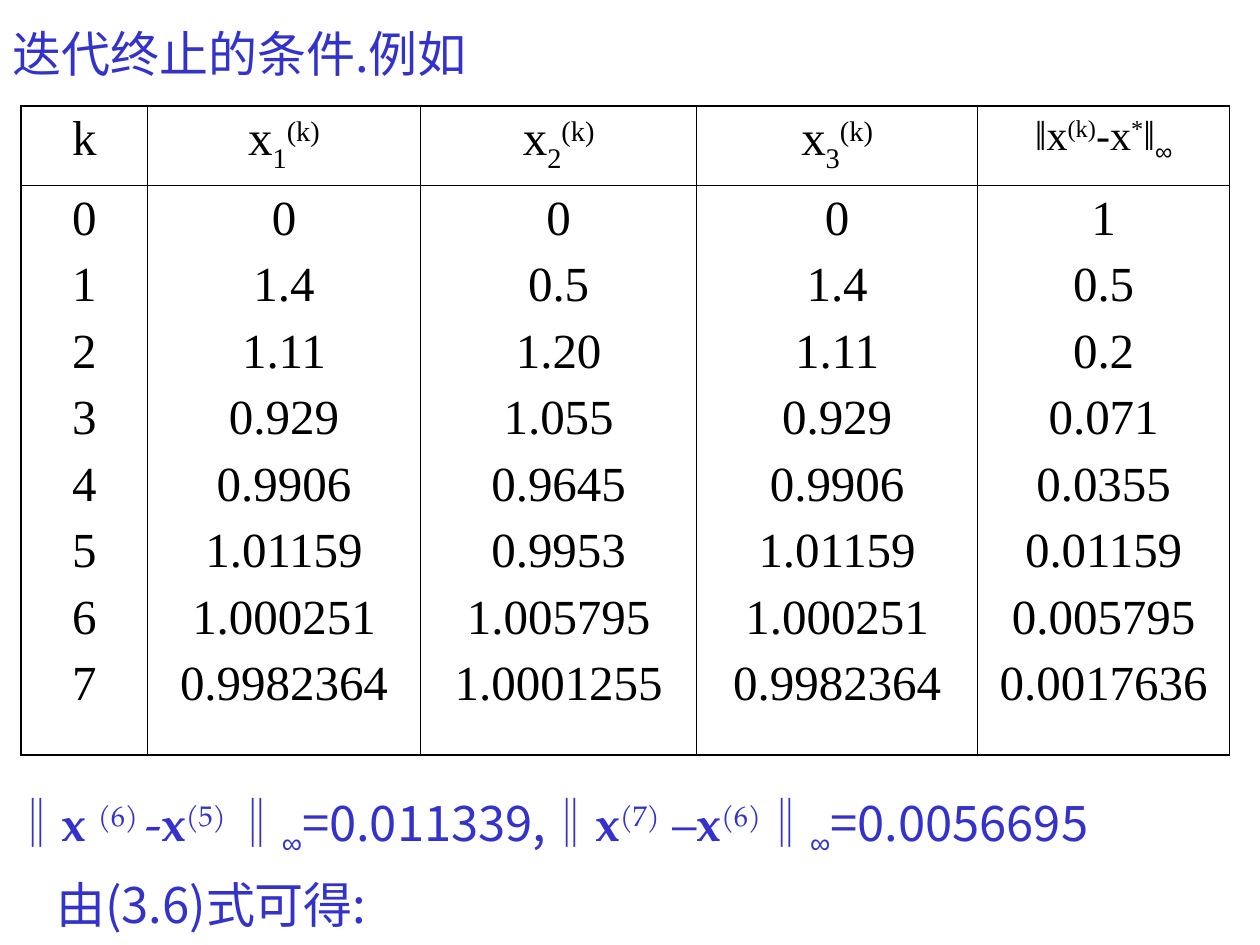
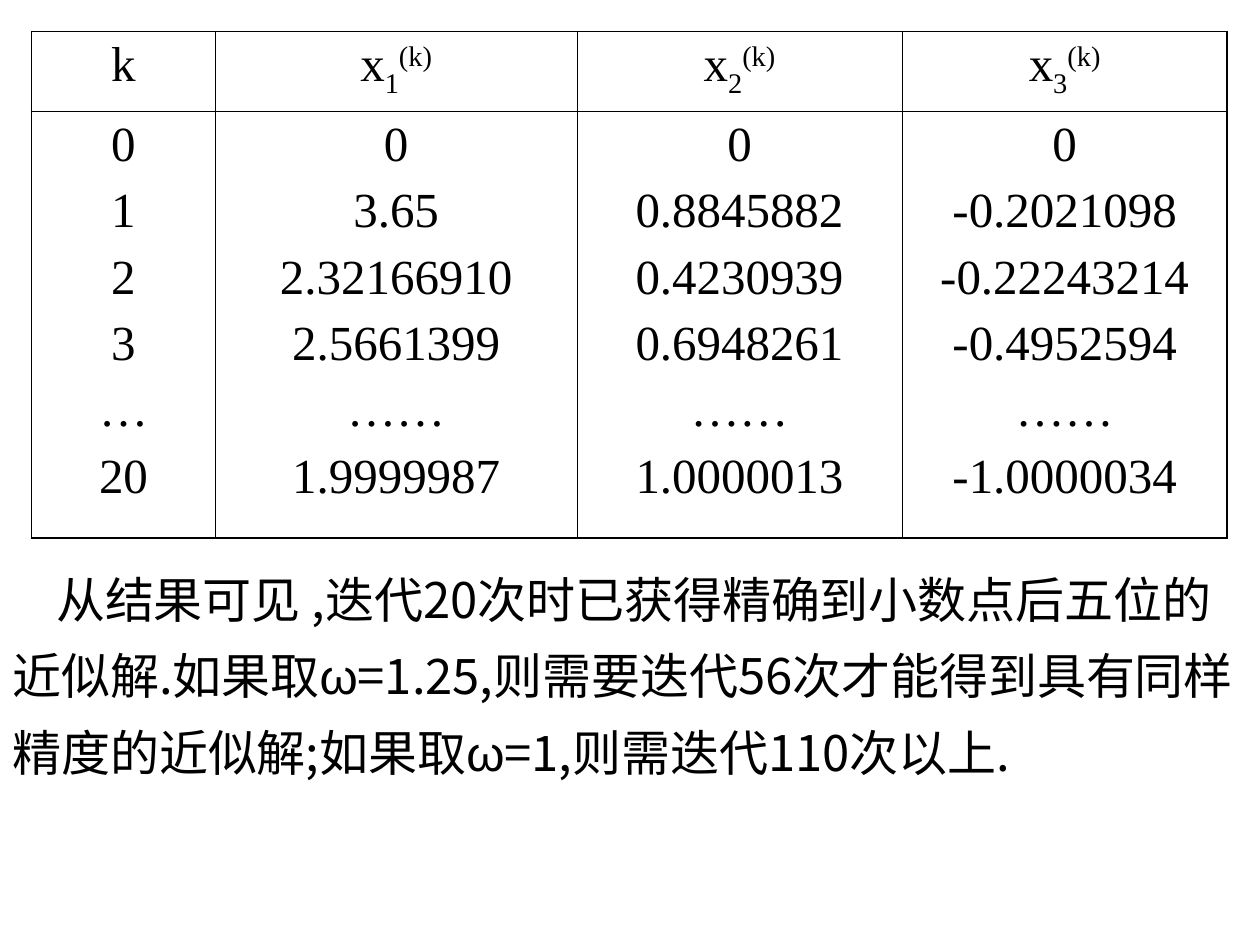
import pptx
import pptx.util
import pptx.dml.color
import pptx.enum.text
import pptx.oxml.ns
import lxml.etree

Pt = pptx.util.Pt
qn = pptx.oxml.ns.qn
RGB = pptx.dml.color.RGBColor.from_string


class Theme:
    blue = "3333CC"
    black = "000000"
    han = "Noto Sans CJK SC"
    math = "TeX Gyre Pagella"
    times = "Times New Roman"
    sign = "Arial"
    size = 28
    small = 24
    thick = 1.08
    thin = 0.45
    sub = -25
    sup = 30


def write(par, runs, color=Theme.black, size=Theme.size):
    for text, face, base, bold in runs:
        run = par.add_run()
        run.text = text
        run.font.size = Pt(size)
        run.font.name = face
        run.font.bold = bold
        run.font.color.rgb = RGB(color)
        props = run._r.get_or_add_rPr()
        if base:
            props.set("baseline", str(base * 1000))
        lxml.etree.SubElement(props, qn("a:ea")).set("typeface", face)


def border(cell, widths):
    cell.fill.background()
    props = cell._tc.get_or_add_tcPr()
    for spot, (side, width) in enumerate(widths.items()):
        line = lxml.etree.Element(qn("a:ln" + side), w=str(Pt(width)))
        fill = lxml.etree.SubElement(line, qn("a:solidFill"))
        lxml.etree.SubElement(fill, qn("a:srgbClr"), val=Theme.black)
        props.insert(spot, line)


deck = pptx.Presentation()
deck.slide_width = Pt(720)
deck.slide_height = Pt(540)
first = deck.slides.add_slide(deck.slide_layouts[5])
second = deck.slides.add_slide(deck.slide_layouts[6])

heads = [[("k", Theme.times, 0, False)]]
for digit in "123":
    heads.append([
        ("x", Theme.times, 0, False),
        (digit, Theme.times, Theme.sub, False),
        ("(k)", Theme.times, Theme.sup, False),
    ])
error = [
    ("‖x", Theme.times, 0, False),
    ("(k)", Theme.times, Theme.sup, False),
    ("-x", Theme.times, 0, False),
    ("*", Theme.times, Theme.sup, False),
    ("‖", Theme.times, 0, False),
    ("∞", Theme.sign, Theme.sub, False),
]

outer = "0 1.4 1.11 0.929 0.9906 1.01159 1.000251 0.9982364"
grids = [
    (first, 12.2, 60.5, [72, 156.2, 157.7, 160.6, 144], 325.4, heads + [error], [
        "0 1 2 3 4 5 6 7",
        outer,
        "0 0.5 1.20 1.055 0.9645 0.9953 1.005795 1.0001255",
        outer,
        "1 0.5 0.2 0.071 0.0355 0.01159 0.005795 0.0017636",
    ]),
    (second, 18, 18, [105.1, 206.6, 185.8, 185.8], 244.1, heads, [
        "0 1 2 3 … 20",
        "0 3.65 2.32166910 2.5661399 …… 1.9999987",
        "0 0.8845882 0.4230939 0.6948261 …… 1.0000013",
        "0 -0.2021098 -0.22243214 -0.4952594 …… -1.0000034",
    ]),
]

for slide, left, top, widths, depth, names, data in grids:
    count = len(widths)
    tall = [45.4, depth]
    table = slide.shapes.add_table(
        2, count, Pt(left), Pt(top), Pt(sum(widths)), Pt(sum(tall))).table
    table.first_row = False
    table.horz_banding = False
    for row, height in zip(table.rows, tall):
        row.height = Pt(height)
    for col, width in enumerate(widths):
        table.columns[col].width = Pt(width)
        body = [[(value, Theme.times, 0, False)] for value in data[col].split()]
        for row, lines in enumerate([[names[col]], body]):
            cell = table.cell(row, col)
            border(cell, {
                "L": Theme.thick if col == 0 else Theme.thin,
                "R": Theme.thick if col == count - 1 else Theme.thin,
                "T": Theme.thick if row == 0 else Theme.thin,
                "B": Theme.thick if row == 1 else Theme.thin,
            })
            frame = cell.text_frame
            for spot, runs in enumerate(lines):
                par = frame.add_paragraph() if spot else frame.paragraphs[0]
                size = Theme.small if runs is error else Theme.size
                par.alignment = pptx.enum.text.PP_ALIGN.CENTER
                par.space_before = Pt(size / 4)
                write(par, runs, size=size)

norms = [
    ("‖", Theme.han, 0, False),
    ("x ", Theme.math, 0, True),
    ("(6) ", Theme.math, Theme.sup, False),
    ("-", Theme.math, 0, False),
    ("x", Theme.math, 0, True),
    ("(5) ", Theme.math, Theme.sup, False),
    ("‖", Theme.han, 0, False),
    ("∞", Theme.sign, Theme.sub, False),
    ("=0.011339,‖", Theme.han, 0, False),
    ("x", Theme.math, 0, True),
    ("(7)", Theme.math, Theme.sup, False),
    (" –", Theme.math, 0, False),
    ("x", Theme.math, 0, True),
    ("(6)", Theme.math, Theme.sup, False),
    ("‖", Theme.han, 0, False),
    ("∞", Theme.sign, Theme.sub, False),
    ("=0.0056695", Theme.han, 0, False),
]
result = [
    ("从结果可见 ,迭代20次时已获得精确到小数点后五位的近似解.如果取", Theme.han, 0, False),
    ("ω", Theme.sign, 0, False),
    ("=1.25,则需要迭代56次才能得到具有同样精度的近似解;如果取", Theme.han, 0, False),
    ("ω", Theme.sign, 0, False),
    ("=1,则需迭代110次以上.", Theme.han, 0, False),
]
title = [("迭代终止的条件.例如", Theme.han, 0, False)]
lead = [("由(3.6)式可得:", Theme.han, 0, False)]

texts = [
    (first, 0, 51.1, 0, Theme.blue, title),
    (first, 437.8, 56.9, 0, Theme.blue, norms),
    (first, 486, 51.1, 25, Theme.blue, lead),
    (second, 311.8, 138.2, 25, Theme.black, result),
]
for slide, top, height, indent, color, runs in texts:
    if runs is title:
        box = slide.shapes.title
        box.left, box.top, box.width, box.height = Pt(0), Pt(top), Pt(720), Pt(height)
    else:
        box = slide.shapes.add_textbox(Pt(0), Pt(top), Pt(720), Pt(height))
    frame = box.text_frame
    frame.word_wrap = True
    frame.auto_size = pptx.enum.text.MSO_AUTO_SIZE.SHAPE_TO_FIT_TEXT
    frame.vertical_anchor = pptx.enum.text.MSO_ANCHOR.TOP
    par = frame.paragraphs[0]
    par.alignment = pptx.enum.text.PP_ALIGN.LEFT
    par.line_spacing = 1.3
    par.space_before = Pt(17.5)
    par._p.get_or_add_pPr().set("indent", str(Pt(indent)))
    write(par, runs, color)

deck.save("out.pptx")
